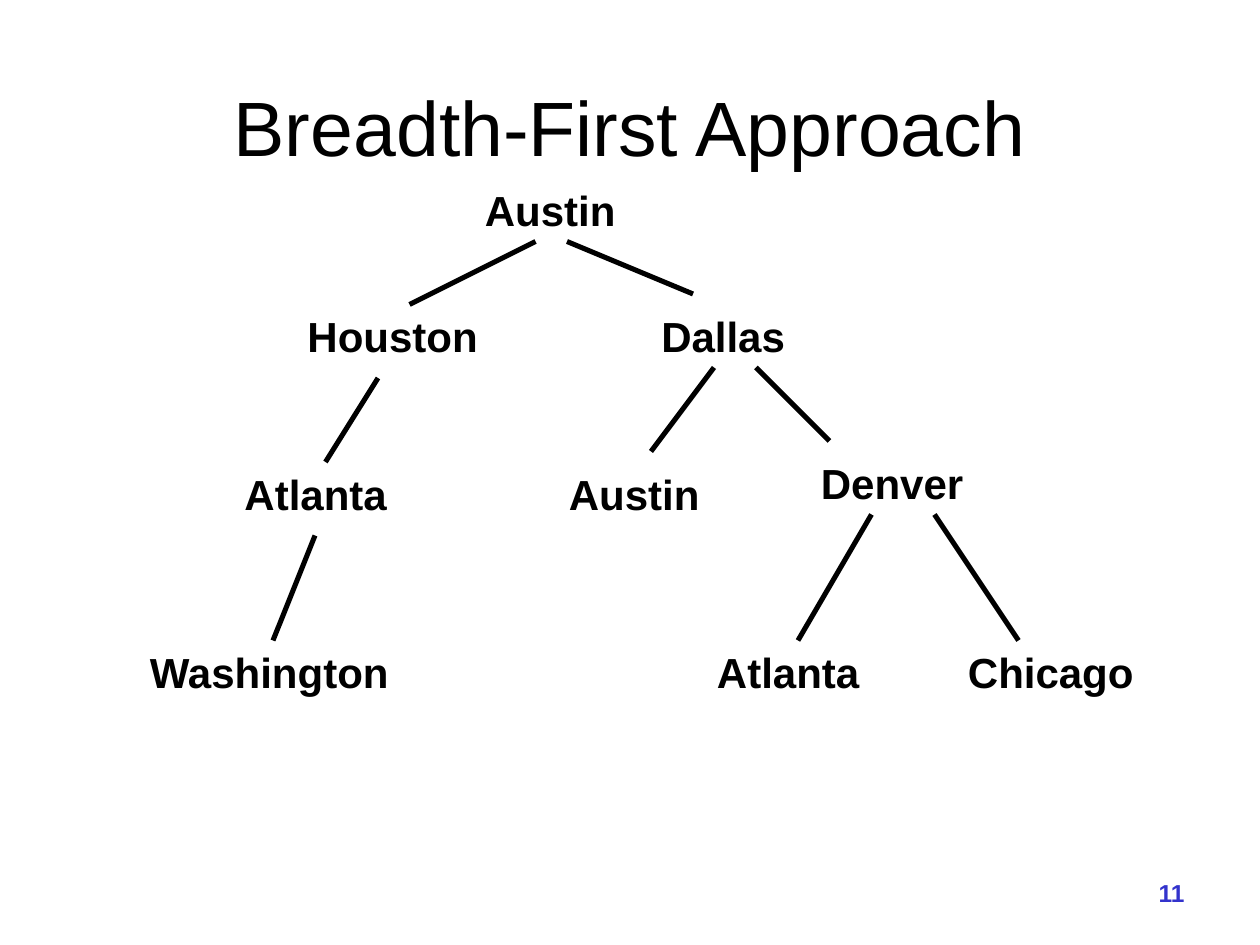
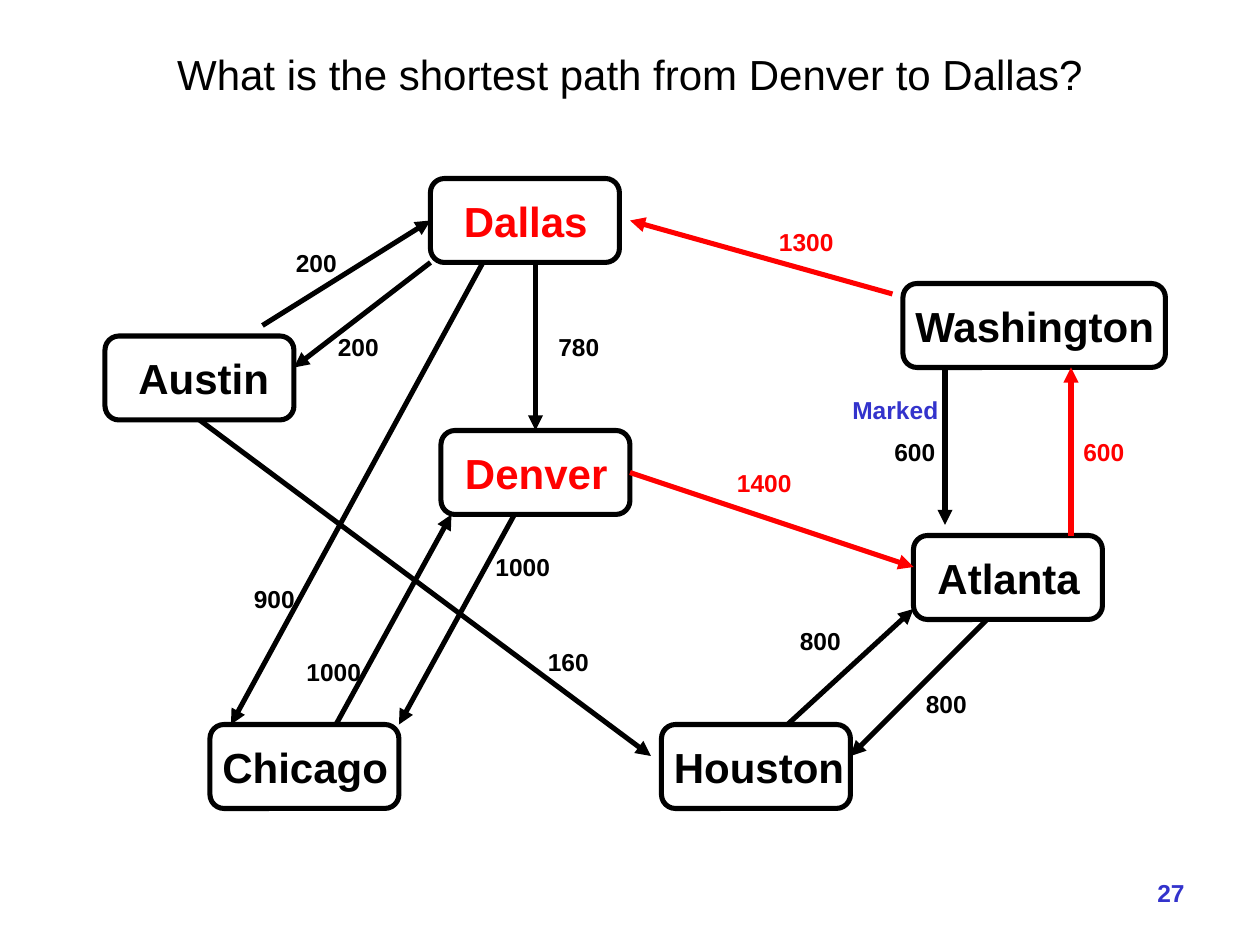
import pptx
import pptx.dml.color
import pptx.enum.shapes
import pptx.enum.text
import pptx.oxml
import pptx.oxml.ns
import pptx.util
from lxml import etree

PX = 7620  # EMU per px, 120 px to the inch
FONT = "Arial"
BLACK, RED, BLUE = "000000", "FF0000", "3333CC"
LINE_WIDTH = 2.89
CITY_SIZE, NOTE_SIZE = 24, 14
CITY_HEIGHT, NOTE_HEIGHT = 60, 41
NODE_HEIGHT = 80
PAGE_NUMBER_BOX = (890, 830, 250, 49)

CITY_WIDTHS = {
    "Austin": 148, "Houston": 186, "Dallas": 142, "Atlanta": 160,
    "Denver": 160, "Washington": 252, "Chicago": 184,
}

TREE = {
    "title": "Breadth-First Approach", "title_size": 44,
    "title_box": (90, 70, 1020, 100), "page": "11",
    # city, left, top
    "cities": [
        ("Austin", 450, 170),
        ("Houston", 281, 290), ("Dallas", 618, 290),
        ("Atlanta", 221, 440), ("Austin", 530, 440), ("Denver", 770, 430),
        ("Washington", 131, 610), ("Atlanta", 671, 610), ("Chicago", 910, 610),
    ],
    # start, end
    "branches": [
        ((510, 230), (390, 290)), ((540, 230), (660, 280)),
        ((360, 360), (310, 440)), ((300, 510), (260, 610)),
        ((680, 350), (620, 430)), ((720, 350), (790, 420)),
        ((830, 490), (760, 610)), ((890, 490), (970, 610)),
    ],
}

GRAPH = {
    "title": "What is the shortest path from Denver to Dallas?", "title_size": 24,
    "title_box": (50, 20, 1100, 100), "page": "27",
    # city, left, top, width, indent of the name, colour
    "nodes": [
        ("Dallas", 410, 170, 180, 20, RED),
        ("Austin", 100, 320, 180, 20, BLACK),
        ("Denver", 420, 410, 180, 11, RED),
        ("Washington", 860, 270, 250, 0, BLACK),
        ("Chicago", 200, 690, 180, 0, BLACK),
        ("Houston", 630, 690, 180, 0, BLACK),
        ("Atlanta", 870, 510, 180, 11, BLACK),
    ],
    # distance, its left and top, start, end, colour
    "flights": [
        ("200", (270, 230), (250, 310), (410, 210), BLACK),
        ("200", (310, 310), (410, 250), (280, 350), BLACK),
        ("780", (520, 310), (510, 250), (510, 410), BLACK),
        ("1300", (730, 210), (850, 280), (600, 210), RED),
        ("1400", (690, 440), (600, 450), (870, 540), RED),
        ("600", (840, 410), (900, 350), (900, 500), BLACK),
        ("600", (1020, 410), (1020, 510), (1020, 350), RED),
        ("800", (750, 590), (750, 690), (870, 580), BLACK),
        ("800", (870, 650), (940, 590), (810, 720), BLACK),
        ("160", (510, 610), (190, 400), (620, 720), BLACK),
        ("900", (230, 550), (460, 250), (220, 690), BLACK),
        ("1000", (280, 620), (320, 690), (430, 490), BLACK),
        ("1000", (460, 520), (490, 490), (380, 690), BLACK),
    ],
    "mark": ("Marked", 800, 370, 106),
}


def px(*lengths):
    return [pptx.util.Emu(length * PX) for length in lengths]


def rgb(colour):
    return pptx.dml.color.RGBColor.from_string(colour)


def add_text(slide, words, box, size, colour=BLACK, bold=True, align="LEFT",
             anchor="TOP", wrap=False):
    frame = slide.shapes.add_textbox(*px(*box)).text_frame
    frame.word_wrap = wrap
    frame.vertical_anchor = pptx.enum.text.MSO_ANCHOR[anchor]
    if not wrap:
        frame.auto_size = pptx.enum.text.MSO_AUTO_SIZE.SHAPE_TO_FIT_TEXT
    paragraph = frame.paragraphs[0]
    paragraph.alignment = pptx.enum.text.PP_ALIGN[align]
    run = paragraph.add_run()
    run.text = words
    run.font.name = FONT
    run.font.size = pptx.util.Pt(size)
    run.font.bold = bold
    run.font.color.rgb = rgb(colour)


def add_city(slide, city, left, top, colour=BLACK):
    add_text(slide, city, (left, top, CITY_WIDTHS[city], CITY_HEIGHT), CITY_SIZE, colour)


def add_line(slide, start, end, colour=BLACK, arrow=False):
    connector = slide.shapes.add_connector(
        pptx.enum.shapes.MSO_CONNECTOR.STRAIGHT, *px(*start, *end))
    connector.line.color.rgb = rgb(colour)
    connector.line.width = pptx.util.Pt(LINE_WIDTH)
    properties = connector._element.spPr
    if arrow:
        etree.SubElement(properties.get_or_add_ln(),
                         pptx.oxml.ns.qn("a:tailEnd"), type="triangle")
    etree.SubElement(properties, pptx.oxml.ns.qn("a:effectLst"))


def add_node(slide, city, left, top, width, indent, colour):
    """Draw a rounded outline with the city's name centred vertically in it."""
    node = slide.shapes.add_shape(
        pptx.enum.shapes.MSO_SHAPE.ROUNDED_RECTANGLE, *px(left, top, width, NODE_HEIGHT))
    node.shadow.inherit = False
    node.fill.background()
    node.line.color.rgb = rgb(BLACK)
    node.line.width = pptx.util.Pt(LINE_WIDTH)
    add_city(slide, city, left + indent, top + (NODE_HEIGHT - CITY_HEIGHT) // 2, colour)


def add_slide(deck, content):
    """Add a blank slide with the shared title and page number."""
    slide = deck.slides.add_slide(deck.slide_layouts[6])
    add_text(slide, content["title"], content["title_box"], content["title_size"],
             bold=False, align="CENTER", anchor="MIDDLE", wrap=True)
    add_text(slide, content["page"], PAGE_NUMBER_BOX, NOTE_SIZE, BLUE,
             align="RIGHT", wrap=True)
    return slide


def build_tree(deck):
    slide = add_slide(deck, TREE)
    for city in TREE["cities"]:
        add_city(slide, *city)
    for start, end in TREE["branches"]:
        add_line(slide, start, end)


def build_graph(deck):
    slide = add_slide(deck, GRAPH)
    for node in GRAPH["nodes"]:
        add_node(slide, *node)
    for _, _, start, end, colour in GRAPH["flights"]:
        add_line(slide, start, end, colour, arrow=True)
    for distance, corner, _, _, colour in GRAPH["flights"]:
        width = 24 + 13 * len(distance)
        add_text(slide, distance, (*corner, width, NOTE_HEIGHT), NOTE_SIZE, colour)
    mark, *place = GRAPH["mark"]
    add_text(slide, mark, (*place, NOTE_HEIGHT), NOTE_SIZE, BLUE)


def main():
    deck = pptx.Presentation()
    deck.slide_width, deck.slide_height = px(1200, 900)
    build_tree(deck)
    build_graph(deck)
    deck.save("out.pptx")


if __name__ == "__main__":
    main()
